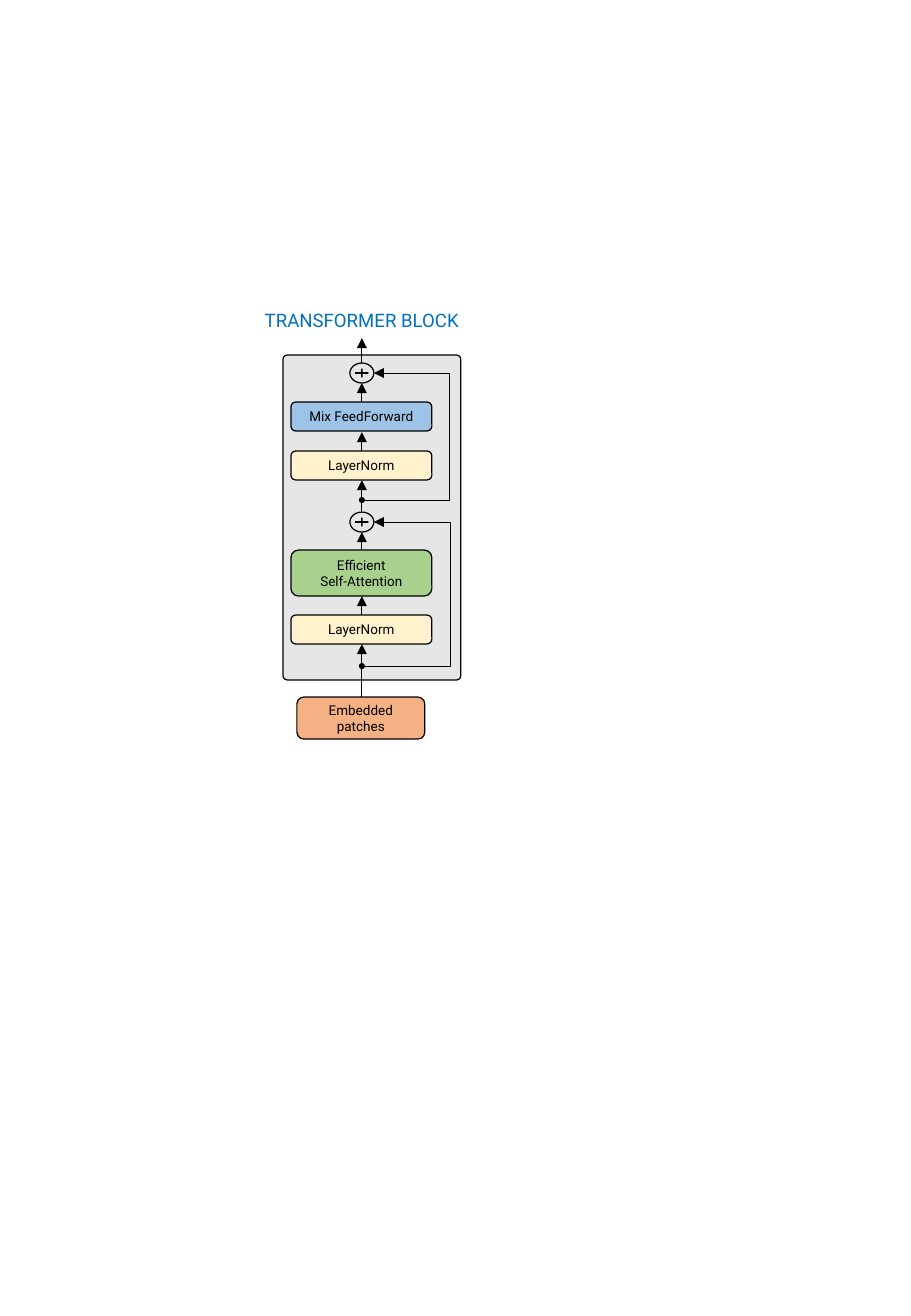
from dataclasses import dataclass

from lxml import etree
from pptx import Presentation
from pptx import util as u
from pptx.dml.color import RGBColor
from pptx.enum import shapes, text
from pptx.oxml.ns import qn

EMU_PER_PIXEL = 7526
FONT = "Roboto"
COLORS = {
    "black": "000000",
    "title": "0070C0",
    "panel": "E7E6E6",
    "norm": "FFF2CC",
    "attention": "A9D18E",
    "feed_forward": "9DC3E6",
    "patches": "F4B183",
}
AXIS_X = 362
SUM_WIDTH, SUM_HEIGHT = 24, 20
DOT_SIZE = 6
PLUS_WIDTH, PLUS_HEIGHT = 18, 12


@dataclass(frozen=True)
class Block:
    """A labelled rounded box of the network."""
    label: str
    color: str
    top: int
    height: int
    left: int = 291
    width: int = 141


@dataclass(frozen=True)
class Residual:
    """A skip connection from a branch dot to a sum node."""
    branch_y: int
    sum_y: int
    rail_x: int


BLOCKS = [
    Block("LayerNorm", "norm", 615, 29),
    Block("Efficient\nSelf-Attention", "attention", 550, 46),
    Block("LayerNorm", "norm", 451, 29),
    Block("Mix FeedForward", "feed_forward", 402, 29),
    Block("Embedded\npatches", "patches", 697, 42, 297, 128),
]
RESIDUALS = [Residual(666, 522, 451), Residual(500, 373, 450)]
FLOW_ARROWS = [(697, 644), (615, 596), (550, 532), (512, 480),
               (451, 432), (402, 383), (363, 338)]


def px(pixels: float) -> u.Emu:
    """Turn pixels into EMU."""
    return u.Emu(round(pixels * EMU_PER_PIXEL))


def rgb(name: str) -> RGBColor:
    """Look up a named colour."""
    return RGBColor.from_string(COLORS[name])


def add_preset(slide, kind, left: float, top: float, width: float,
               height: float, fill: str | None = None, outlined: bool = True):
    """Add a preset shape with a flat fill and an optional black outline."""
    shape = slide.shapes.add_shape(kind, px(left), px(top), px(width), px(height))
    shape.shadow.inherit = False
    if fill:
        shape.fill.solid()
        shape.fill.fore_color.rgb = rgb(fill)
    else:
        shape.fill.background()
    if outlined:
        shape.line.color.rgb = rgb("black")
        shape.line.width = u.Pt(0.75)
    else:
        shape.line.fill.background()
    return shape


def add_centered(slide, kind, center_y: float, width: float, height: float,
                 fill: str | None = None, outlined: bool = True):
    """Add a preset shape centred on the main axis."""
    return add_preset(slide, kind, AXIS_X - width / 2, center_y - height / 2,
                      width, height, fill, outlined)


def write_text(shape, label: str, size: float, color: str) -> None:
    """Write centred lines, one paragraph each."""
    shape.text_frame.text = label
    for paragraph in shape.text_frame.paragraphs:
        paragraph.alignment = text.PP_ALIGN.CENTER
        paragraph.font.name = FONT
        paragraph.font.size = u.Pt(size)
        paragraph.font.color.rgb = rgb(color)


def add_block(slide, block: Block) -> None:
    """Draw one labelled box."""
    shape = add_preset(slide, shapes.MSO_SHAPE.ROUNDED_RECTANGLE, block.left,
                       block.top, block.width, block.height, block.color)
    frame = shape.text_frame
    frame.margin_left = frame.margin_right = px(7)
    frame.margin_top = frame.margin_bottom = px(4)
    frame.vertical_anchor = text.MSO_ANCHOR.MIDDLE
    frame.word_wrap = True
    write_text(shape, block.label, 8, "black")


def add_arrow(slide, kind, start: tuple[float, float], end: tuple[float, float]):
    """Add a thin black connector with a triangle at its end."""
    arrow = slide.shapes.add_connector(kind, px(start[0]), px(start[1]),
                                       px(end[0]), px(end[1]))
    arrow.line.color.rgb = rgb("black")
    arrow.line.width = u.Pt(0.5)
    etree.SubElement(arrow.line._get_or_add_ln(), qn("a:tailEnd"), type="triangle")
    etree.SubElement(arrow._element.spPr, qn("a:effectLst"))
    return arrow


def add_residual(slide, residual: Residual) -> None:
    """Draw a branch dot, its skip arrow and the sum node it enters."""
    oval = shapes.MSO_SHAPE.OVAL
    add_centered(slide, oval, residual.sum_y, SUM_WIDTH, SUM_HEIGHT)
    plus = add_centered(slide, shapes.MSO_SHAPE.MATH_PLUS, residual.sum_y,
                        PLUS_WIDTH, PLUS_HEIGHT, "black", outlined=False)
    plus.adjustments[0] = 0.14
    add_centered(slide, oval, residual.branch_y, DOT_SIZE, DOT_SIZE,
                 "black", outlined=False)
    start_x = AXIS_X + DOT_SIZE / 2
    end_x = AXIS_X + SUM_WIDTH / 2
    arrow = add_arrow(slide, shapes.MSO_CONNECTOR.ELBOW,
                      (start_x, residual.branch_y), (end_x, residual.sum_y))
    bend = round((residual.rail_x - start_x) / (end_x - start_x) * 100000)
    guides = arrow._element.spPr.find(qn("a:prstGeom")).get_or_add_avLst()
    etree.SubElement(guides, qn("a:gd"), name="adj1", fmla=f"val {bend}")


def add_title(slide) -> None:
    """Place and format the title."""
    title = slide.shapes.title
    title.left, title.top, title.width, title.height = map(px, (232, 303, 260, 35))
    title.text_frame.vertical_anchor = text.MSO_ANCHOR.TOP
    title.text_frame.word_wrap = True
    title.text_frame.auto_size = text.MSO_AUTO_SIZE.NONE
    write_text(title, "TRANSFORMER BLOCK", 11, "title")


def main() -> None:
    """Build and save the slide."""
    presentation = Presentation()
    presentation.slide_width = u.Inches(7.5)
    presentation.slide_height = u.Inches(10.83)
    slide = presentation.slides.add_slide(presentation.slide_layouts[5])
    add_title(slide)
    panel = add_preset(slide, shapes.MSO_SHAPE.ROUNDED_RECTANGLE,
                       283, 355, 178, 325, "panel")
    panel.adjustments[0] = 0.025
    for block in BLOCKS:
        add_block(slide, block)
    for start_y, end_y in FLOW_ARROWS:
        add_arrow(slide, shapes.MSO_CONNECTOR.STRAIGHT,
                  (AXIS_X, start_y), (AXIS_X, end_y))
    for residual in RESIDUALS:
        add_residual(slide, residual)
    presentation.save("out.pptx")


main()
